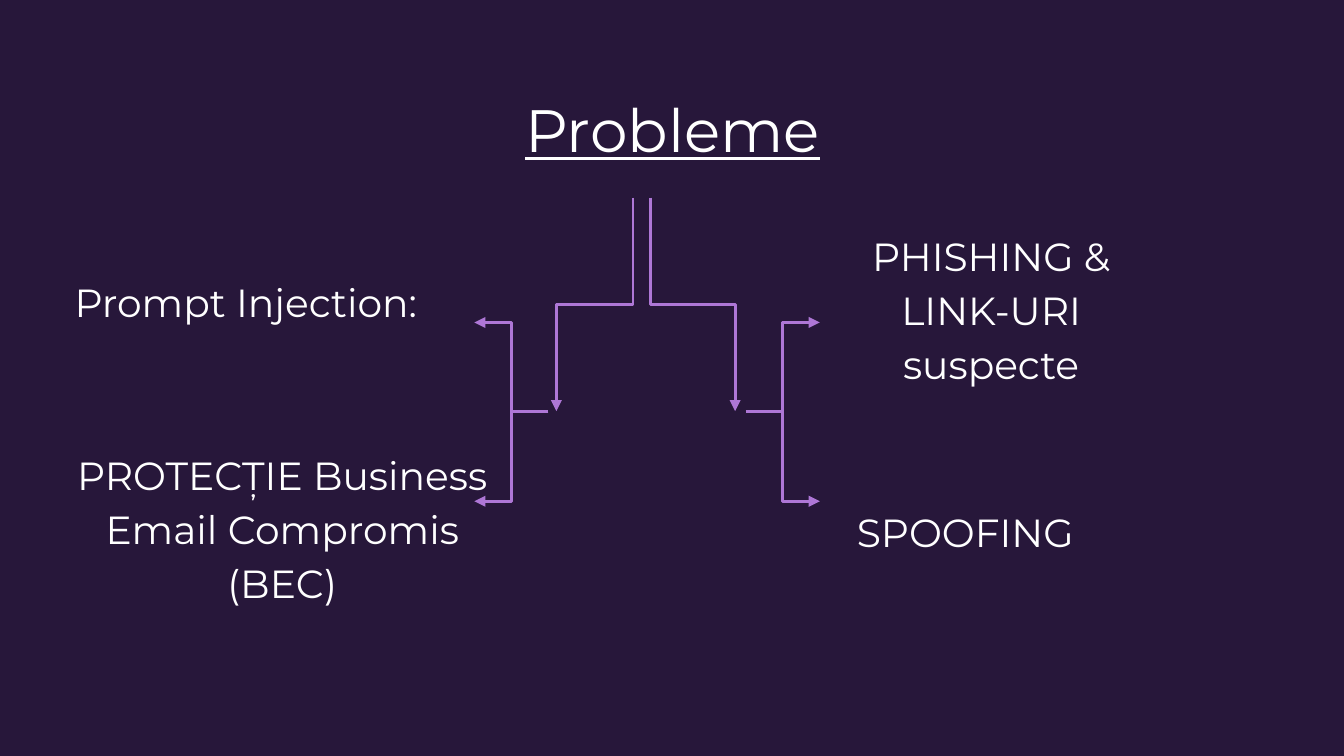
"""Build the "Probleme" slide: a title branching into four e-mail threats."""
from dataclasses import dataclass

from lxml.etree import SubElement
from pptx import Presentation
from pptx.dml.color import RGBColor
from pptx.enum.shapes import MSO_CONNECTOR
from pptx.enum.text import MSO_ANCHOR, PP_ALIGN
from pptx.oxml.ns import qn
from pptx.util import Inches, Pt

SLIDE_WIDTH = 10
SLIDE_HEIGHT = SLIDE_WIDTH * 9 / 16
FONT = "Montserrat"
BACKGROUND, WHITE, LILAC = "27173A", "FFFFFF", "AE77D6"


@dataclass(frozen=True)
class Label:
    text: str
    left: float
    top: float
    width: float
    height: float = 0.5
    size: int = 21
    spacing: float = 1.15
    anchor: MSO_ANCHOR = MSO_ANCHOR.BOTTOM
    underline: bool = False


@dataclass(frozen=True)
class Branch:
    start: tuple[float, float]
    end: tuple[float, float]
    vertical: bool = False


LABELS = [
    Label("Probleme", 0.79, 0.59, 8.43, 0.63, 32, 1.0, MSO_ANCHOR.TOP, True),
    Label("PHISHING & LINK-URI suspecte", 5.96, 2.48, 2.83),
    Label("PROTECȚIE Business Email Compromis (BEC)", 0.4, 4.11, 3.4),
    Label("SPOOFING ", 5.65, 3.73, 3.14),
    Label("Prompt Injection:", 0.26, 2.02, 3.14),
]

TRUNK_TOP, FORK, UPPER, LOWER = 1.47, 3.06, 2.4, 3.73
BRANCHES = [
    Branch((fork_x, FORK), (tip_x, tip_y))
    for fork_x, tip_x in ((4.08, 3.53), (5.55, 6.1))
    for tip_y in (LOWER, UPPER)
] + [
    Branch((trunk_x, TRUNK_TOP), (tip_x, FORK), vertical=True)
    for trunk_x, tip_x in ((4.71, 4.14), (4.84, 5.47))
]


def color(hex_code: str) -> RGBColor:
    """Turn a hex string into a colour."""
    return RGBColor.from_string(hex_code)


def draw_label(slide, label: Label) -> None:
    """Add one centred text."""
    box = slide.shapes.add_textbox(
        Inches(label.left), Inches(label.top), Inches(label.width), Inches(label.height)
    )
    frame = box.text_frame
    frame.word_wrap = True
    frame.vertical_anchor = label.anchor
    frame.margin_top = frame.margin_bottom = Inches(0.1)
    paragraph = frame.paragraphs[0]
    paragraph.text = label.text
    paragraph.alignment = PP_ALIGN.CENTER
    paragraph.line_spacing = label.spacing
    paragraph.font.name = FONT
    paragraph.font.size = Pt(label.size)
    paragraph.font.underline = label.underline
    paragraph.font.color.rgb = color(WHITE)


def draw_branch(slide, branch: Branch) -> None:
    """Add an elbow arrow, turned a quarter when it leaves vertically."""
    (x1, y1), (x2, y2) = branch.start, branch.end
    quarter_turns = 0
    if branch.vertical:
        side = 1 if x2 > x1 else -1
        quarter_turns = 2 + side
        middle_x, middle_y = (x1 + x2) / 2, (y1 + y2) / 2
        half_run, half_rise = side * (y2 - y1) / 2, abs(x2 - x1) / 2
        x1, x2 = middle_x + half_run, middle_x - half_run
        y1, y2 = middle_y - half_rise, middle_y + half_rise
    arrow = slide.shapes.add_connector(
        MSO_CONNECTOR.ELBOW, Inches(x1), Inches(y1), Inches(x2), Inches(y2)
    )
    arrow.line.color.rgb = color(LILAC)
    arrow.line.width = Pt(1.5)
    properties = arrow.element.spPr
    if quarter_turns:
        properties.find(qn("a:xfrm")).set("rot", str(quarter_turns * 90 * 60000))
    SubElement(properties.find(qn("a:ln")), qn("a:tailEnd"), type="triangle")
    SubElement(properties, qn("a:effectLst"))


def main() -> None:
    """Draw the slide and save it."""
    presentation = Presentation()
    presentation.slide_width = Inches(SLIDE_WIDTH)
    presentation.slide_height = Inches(SLIDE_HEIGHT)
    slide = presentation.slides.add_slide(presentation.slide_layouts[6])
    slide.background.fill.solid()
    slide.background.fill.fore_color.rgb = color(BACKGROUND)
    for label in LABELS:
        draw_label(slide, label)
    for branch in BRANCHES:
        draw_branch(slide, branch)
    presentation.save("out.pptx")


if __name__ == "__main__":
    main()
